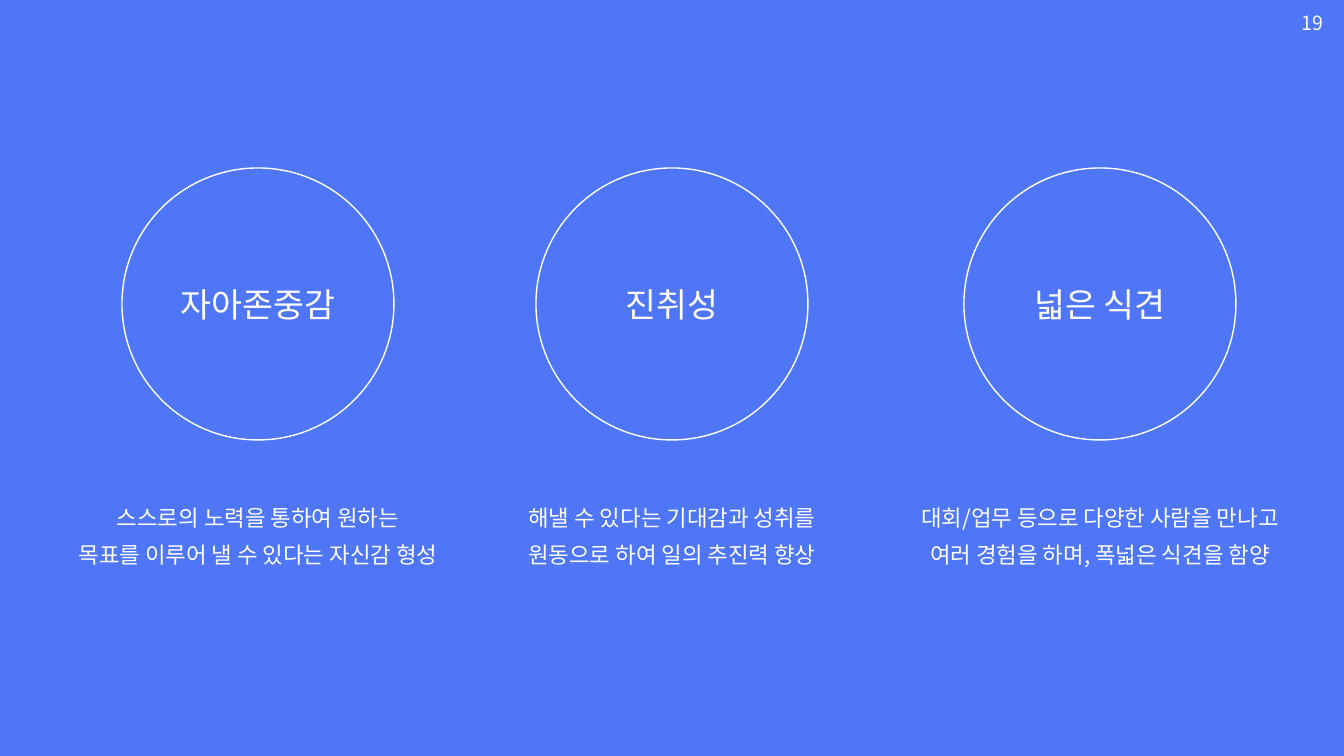
from lxml.etree import SubElement
from pptx import Presentation
from pptx.dml.color import RGBColor
from pptx.enum.shapes import MSO_SHAPE as Shape
from pptx.enum.text import MSO_AUTO_SIZE as AutoSize, PP_ALIGN as Align
from pptx.oxml.ns import qn
from pptx.util import Inches, Pt

FONT = "Noto Sans CJK KR"
BLUE, WHITE = "4E76F6", "FFFFFF"
PAGE_NUMBER = "19"
BENEFITS = [
    (258, "자아존중감", ["스스로의 노력을 통하여 원하는", "목표를 이루어 낼 수 있다는 자신감 형성"]),
    (672, "진취성", ["해낼 수 있다는 기대감과 성취를", "원동으로 하여 일의 추진력 향상"]),
    (1100, "넓은 식견", ["대회/업무 등으로 다양한 사람을 만나고", "여러 경험을 하며, 폭넓은 식견을 함양"]),
]
PAGE_WIDTH, PAGE_HEIGHT = 1344, 756
CIRCLE_TOP, CIRCLE_SIZE = 168, 272
LABEL_TOP, LABEL_WIDTH, LABEL_HEIGHT = 279, 222, 50
DETAIL_TOP, DETAIL_WIDTH, DETAIL_HEIGHT = 488, 428, 83
SCALE = Inches(7.5) / PAGE_HEIGHT


def px(*lengths):
    return [round(length * SCALE) for length in lengths]


def color(value):
    return RGBColor.from_string(value)


def add_text(shapes, place, lines, size, align=Align.CENTER, spacing=None, wrap=True):
    box = shapes.add_textbox(*px(*place))
    frame = box.text_frame
    frame.word_wrap = wrap
    frame.auto_size = AutoSize.SHAPE_TO_FIT_TEXT
    for index, line in enumerate(lines):
        para = frame.add_paragraph() if index else frame.paragraphs[0]
        para.alignment = align
        para.line_spacing = spacing
        span = para.add_run()
        span.text = line
        span.font.size = Pt(size)
        span.font.name = FONT
        span.font.color.rgb = color(WHITE)
        SubElement(span.font._element, qn("a:ea"), typeface=FONT)


def add_circle(shapes, center):
    left = center - CIRCLE_SIZE / 2
    circle = shapes.add_shape(Shape.OVAL, *px(left, CIRCLE_TOP, CIRCLE_SIZE, CIRCLE_SIZE))
    circle.shadow.inherit = False
    circle.fill.background()
    circle.line.color.rgb = color(WHITE)
    circle.line.width = Pt(1)


deck = Presentation()
deck.slide_width, deck.slide_height = px(PAGE_WIDTH, PAGE_HEIGHT)
page = deck.slides.add_slide(deck.slide_layouts[6])
page.background.fill.solid()
page.background.fill.fore_color.rgb = color(BLUE)

for center, label, details in BENEFITS:
    group = page.shapes.add_group_shape()
    add_circle(group.shapes, center)
    label_place = (center - LABEL_WIDTH / 2, LABEL_TOP, LABEL_WIDTH, LABEL_HEIGHT)
    add_text(group.shapes, label_place, [label], 24)
    detail_place = (center - DETAIL_WIDTH / 2, DETAIL_TOP, DETAIL_WIDTH, DETAIL_HEIGHT)
    add_text(page.shapes, detail_place, details, 16, spacing=1.4)

add_text(page.shapes, (1289, 6, 44, 34), [PAGE_NUMBER], 14, Align.RIGHT, wrap=False)

deck.save("out.pptx")
